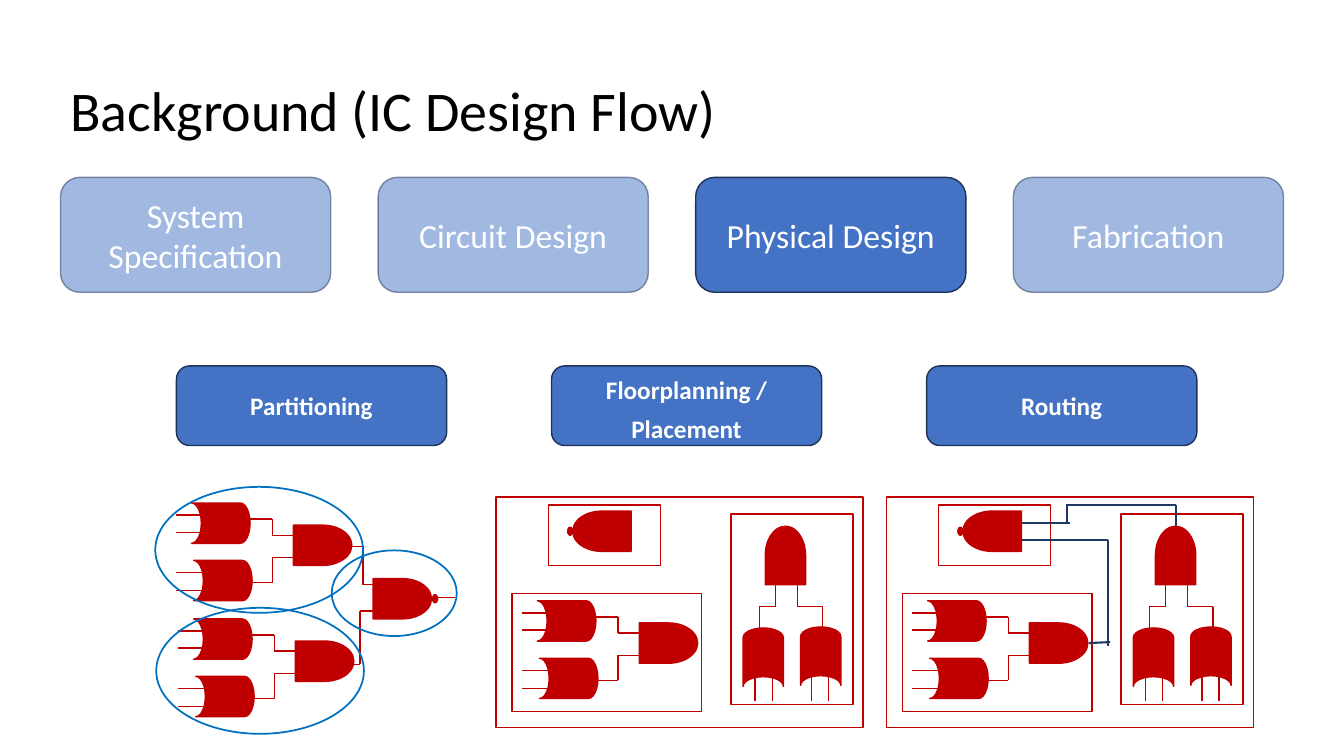
import pptx
import pptx.util
import pptx.dml.color
import pptx.enum.shapes
import pptx.enum.text
import pptx.oxml
import pptx.oxml.ns

SHAPE = pptx.enum.shapes.MSO_SHAPE
ANCHOR = pptx.enum.text.MSO_ANCHOR
ALIGN = pptx.enum.text.PP_ALIGN
BLUE, EDGE, RED, RING, NAVY = "4472C4", "1E3256", "C00000", "0070C0", "203864"
OR, AND = SHAPE.FLOWCHART_STORED_DATA, SHAPE.FLOWCHART_DELAY
GATE, BUBBLE = (0.58, 0.4), (0.05, 0.08)

TITLE = "Background (IC Design Flow)"
STAGES = [("System Specification", 50), ("Circuit Design", 50),
          ("Physical Design", 100), ("Fabrication", 50)]
STEPS = [(["Partitioning"], ANCHOR.MIDDLE),
         (["Floorplanning /", "Placement"], ANCHOR.TOP),
         (["Routing"], ANCHOR.MIDDLE)]
STAGE_GRID = {"left": 0.6, "top": 1.76, "pitch": 3.15, "size": (2.68, 1.14)}
STEP_GRID = {"left": 1.75, "top": 3.63, "pitch": 3.72, "size": (2.68, 0.79)}

CLUSTER_GATES = [(OR, 0, 0, GATE, 180), (OR, 0.02, 0.57, GATE, 180), (AND, 1.01, 0.22, GATE, 0)]
CLUSTER_WIRES = [[(0.47, 0.16), (0.8, 0.16), (0.8, 0.32), (1.12, 0.32)],
                 [(1.14, 0.54), (0.8, 0.54), (0.8, 0.79), (0.45, 0.79)]]
CLUSTER_WIRES += [[(0.2, y), (-0.15, y)] for y in (0.12, 0.29, 0.69, 0.87)]

CLUSTERS = [(1.9, 4.99), (1.92, 6.14)]
OUTPUT_GATES = [(AND, 3.7, 5.74, GATE, 0), (SHAPE.OVAL, 4.29, 5.9, BUBBLE, 0)]
OUTPUT_WIRES = [[(3.39, 5.42), (3.6, 5.42), (3.6, 5.8), (3.81, 5.8)],
                [(3.22, 6.59), (3.57, 6.59), (3.57, 6.06), (3.91, 6.06)],
                [(4.51, 5.93), (4.16, 5.93)]]
RINGS = [(1.54, 4.83, 2.06, 1.25), (1.55, 6.03, 2.06, 1.25), (3.29, 5.46, 1.24, 0.85)]

PANELS, PANEL_TOP, PANEL_CLUSTER = (4.92, 8.79), 4.93, (0.41, 1.03)
PANEL_GATES = [(AND, 0.76, 0.14, GATE, 180), (SHAPE.OVAL, 0.71, 0.3, BUBBLE, 180),
               (OR, 2.36, 1.39, GATE, 90), (OR, 2.93, 1.38, GATE, 90),
               (AND, 2.58, 0.38, GATE, 270)]
PANEL_WIRES = [[(2.61, 1.42), (2.61, 1.09), (2.77, 1.09), (2.77, 0.77)],
               [(2.99, 0.74), (2.99, 1.09), (3.24, 1.09), (3.24, 1.43)]]
PANEL_WIRES += [[(x, 1.67), (x, 2.02)] for x in (2.57, 2.74, 3.13, 3.3)]
BLOCKS = [(0, 0, 3.64, 2.29), (2.33, 0.17, 1.21, 1.89),
          (0.16, 0.96, 1.88, 1.17), (0.52, 0.08, 1.11, 0.6)]
ROUTES = [[(1.35, 0.43), (2.2, 0.43), (2.2, 1.48)], [(2.22, 1.44), (2.01, 1.45)],
          [(1.35, 0.26), (1.82, 0.26)], [(1.78, 0.08), (2.87, 0.08), (2.87, 0.29)],
          [(1.79, 0.08), (1.79, 0.25)]]


def inches(*values):
    return [pptx.util.Inches(v) for v in values]


def color(value):
    return pptx.dml.color.RGBColor.from_string(value)


def set_alpha(fill, percent):
    tag = pptx.oxml.ns.qn("a:srgbClr")
    for clr in fill.iter(tag):
        pptx.oxml.ns.qn("a:alpha")
        alpha = clr.makeelement(pptx.oxml.ns.qn("a:alpha"), {"val": str(percent * 1000)})
        clr.append(alpha)


def add_shape(parent, kind, box, fill=None, line=RED, width=1, turn=0):
    sp = parent.shapes.add_shape(kind, *inches(*box))
    sp.shadow.inherit = False
    sp.rotation = turn
    if fill:
        sp.fill.solid()
        sp.fill.fore_color.rgb = color(fill)
    else:
        sp.fill.background()
    sp.line.color.rgb = color(line)
    sp.line.width = pptx.util.Pt(width)
    return sp


def write(sp, lines, size, ink, anchor=ANCHOR.MIDDLE, bold=False, **layout):
    tf = sp.text_frame
    tf.word_wrap = True
    tf.vertical_anchor = anchor
    for i, text in enumerate(lines):
        p = tf.paragraphs[0] if i == 0 else tf.add_paragraph()
        for name, value in layout.items():
            setattr(p, name, value)
        r = p.add_run()
        r.text = text
        for name, value in {"name": "Calibri", "size": pptx.util.Pt(size), "bold": bold}.items():
            setattr(r.font, name, value)
        r.font.color.rgb = color(ink)


def add_box(s, grid, col, lines, size, alpha=100, **style):
    box = (grid["left"] + col * grid["pitch"], grid["top"], *grid["size"])
    sp = add_shape(s, SHAPE.ROUNDED_RECTANGLE, box, BLUE, EDGE)
    if alpha < 100:
        set_alpha(sp.element.spPr, alpha)
    write(sp, lines, size, "FFFFFF", alignment=ALIGN.CENTER,
          space_after=pptx.util.Pt(6), **style)


def add_wires(parent, wires, x=0, y=0, line=RED, width=1):
    for wire in wires:
        for (x1, y1), (x2, y2) in zip(wire, wire[1:]):
            c = parent.shapes.add_connector(pptx.enum.shapes.MSO_CONNECTOR.STRAIGHT,
                                            *inches(x + x1, y + y1, x + x2, y + y2))
            c.line.color.rgb = color(line)
            c.line.width = pptx.util.Pt(width)
            spPr = c.element.spPr
            spPr.append(spPr.makeelement(pptx.oxml.ns.qn("a:effectLst"), {}))


def add_circuit(parent, gates, wires, x=0, y=0):
    for kind, dx, dy, size, turn in gates:
        add_shape(parent, kind, (x + dx, y + dy, *size), RED, turn=turn)
    add_wires(parent, wires, x, y)


def main():
    prs = pptx.Presentation()
    prs.slide_width, prs.slide_height = inches(13.33, 7.5)
    s = prs.slides.add_slide(prs.slide_layouts[6])

    title = s.shapes.add_textbox(*inches(0.6, 0.4, 12.13, 1.45))
    write(title, [TITLE], 40, "000000", line_spacing=0.9)
    for col, (text, alpha) in enumerate(STAGES):
        add_box(s, STAGE_GRID, col, [text], 24.1, alpha)
    for col, (lines, anchor) in enumerate(STEPS):
        add_box(s, STEP_GRID, col, lines, 18, anchor=anchor, bold=True)

    partition = s.shapes.add_group_shape()
    for x, y in CLUSTERS:
        add_circuit(partition, CLUSTER_GATES, CLUSTER_WIRES, x, y)
    add_circuit(partition, OUTPUT_GATES, OUTPUT_WIRES)
    for ring in RINGS:
        add_shape(partition, SHAPE.OVAL, ring, line=RING, width=1.25)

    for left in PANELS:
        panel = s.shapes.add_group_shape()
        dx, dy = PANEL_CLUSTER
        add_circuit(panel, CLUSTER_GATES, CLUSTER_WIRES, left + dx, PANEL_TOP + dy)
        add_circuit(panel, PANEL_GATES, PANEL_WIRES, left, PANEL_TOP)
        for x, y, w, h in BLOCKS:
            add_shape(panel, SHAPE.RECTANGLE, (left + x, PANEL_TOP + y, w, h))
    add_wires(panel, ROUTES, left, PANEL_TOP, NAVY, 1.5)

    prs.save("out.pptx")


if __name__ == "__main__":
    main()
